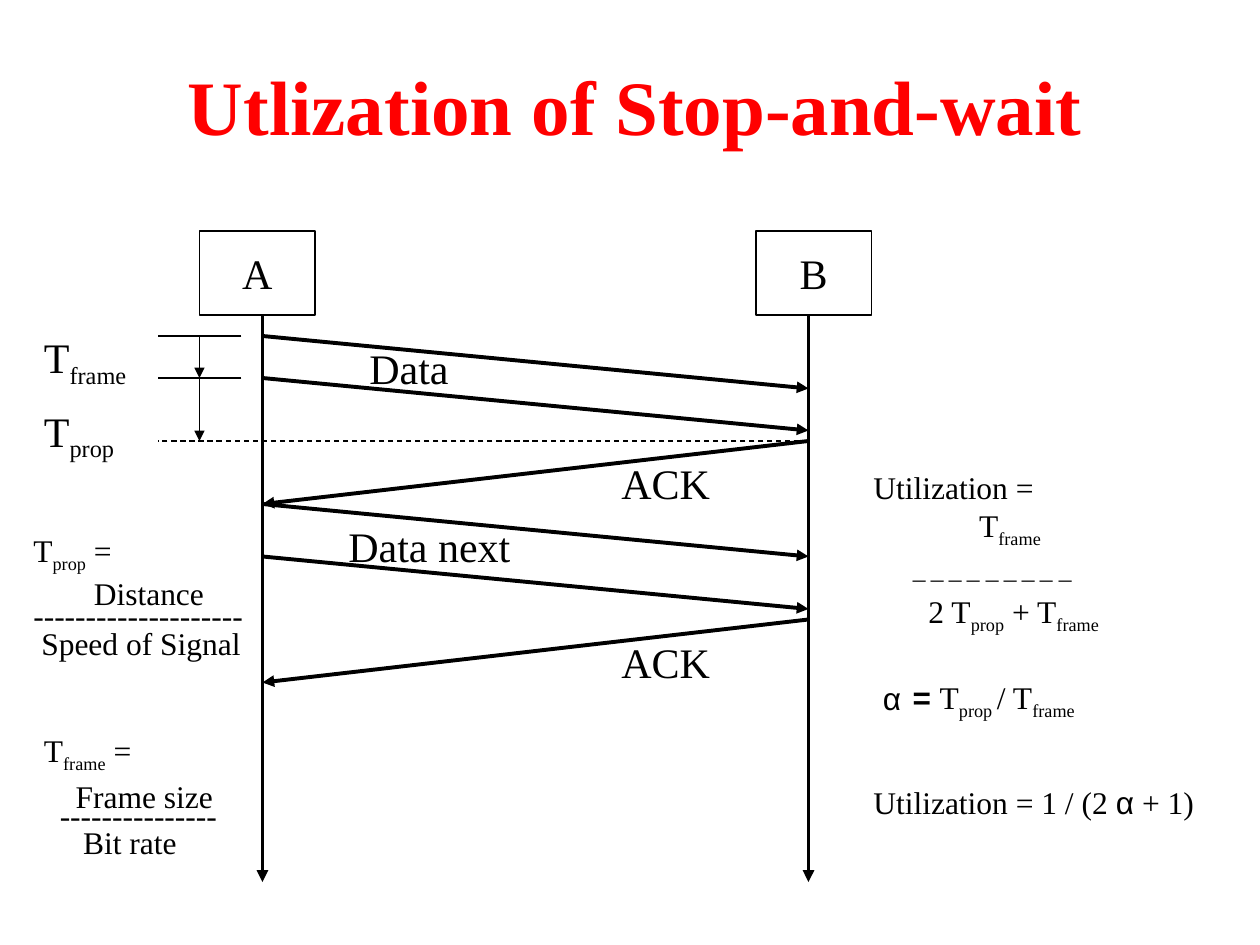
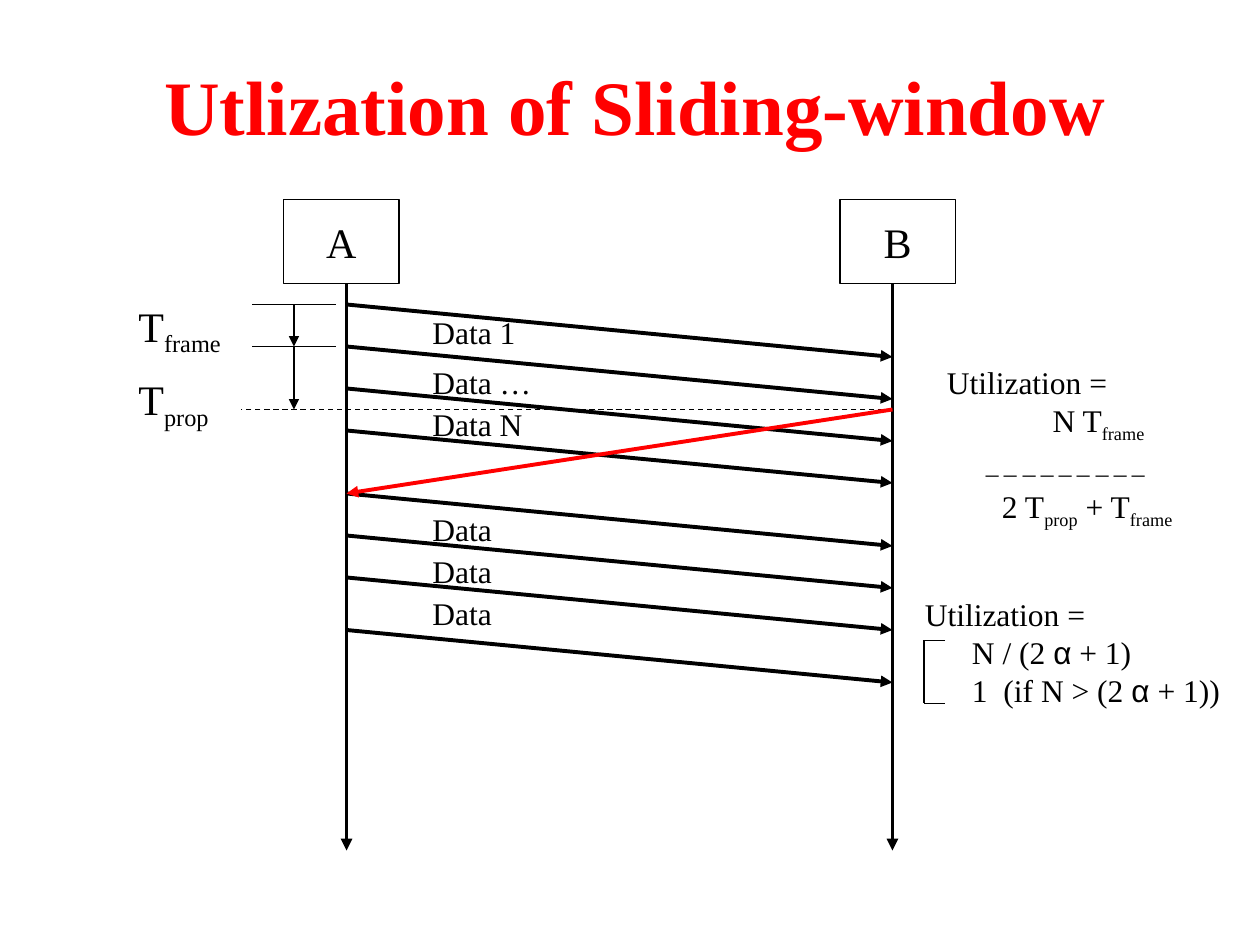
from itertools import pairwise

from lxml import etree
from pptx import Presentation
from pptx.dml.color import RGBColor
from pptx.enum.dml import MSO_LINE
from pptx.enum.shapes import MSO_CONNECTOR, MSO_SHAPE
from pptx.enum.text import MSO_ANCHOR, MSO_AUTO_SIZE, PP_ALIGN
from pptx.oxml.ns import qn
from pptx.util import Cm, Pt

STRAIGHT, RECTANGLE = MSO_CONNECTOR.STRAIGHT, MSO_SHAPE.RECTANGLE
DASH = MSO_LINE.DASH
MIDDLE = MSO_ANCHOR.MIDDLE
LEFT, CENTER = PP_ALIGN.LEFT, PP_ALIGN.CENTER
FIXED, GROW = MSO_AUTO_SIZE.NONE, MSO_AUTO_SIZE.SHAPE_TO_FIT_TEXT

BLACK, RED = "000000", "FF0000"
SERIF, SANS = "Times New Roman", "Arial"
THIN, THICK = 0.75, 2.25
TITLE_SIZE, LABEL_SIZE, FORMULA_SIZE = 44, 24, 18
TITLE_BOX = (6, 5, 109, 10)

# All positions are counted in grid steps, twelve to 2.54 cm.
STEP = 2.54 / 12
BOX_WIDTH, BOX_HEIGHT = 11, 8
LIFELINE_GAP, LIFELINE_LENGTH = 52, 54
DATA_DROP = 5

SUB = {"subscript": True}
ALPHA = ("α", {"font": SANS})
T_FRAME = ["T", ("frame", SUB)]
T_PROP = ["T", ("prop", SUB)]


def line_of(*runs, **layout):
    """One paragraph: its runs and its layout (indent in cm, before in pt, spacing)."""
    return {"runs": runs, **layout}


def utilization_fraction(*numerator):
    return [
        line_of("Utilization ="),
        line_of(*numerator, indent=2.13),
        line_of(("－－－－－－－－－", SUB), indent=0.74),
        line_of("2 ", *T_PROP, " + ", *T_FRAME, indent=1.11),
    ]


# Text boxes: paragraphs, (left, top, width, height), size
SLIDES = [
    {
        "title": "Utlization of Stop-and-wait",
        "box_left": 19, "box_top": 22, "timing_x": 19,
        "data_starts": [32, 36, 48, 53],
        "acks": [(42, 48, BLACK), (59, 65, BLACK)],
        "texts": [
            (["Data"], (34, 32, 12, 6), LABEL_SIZE),
            (["ACK"], (58, 43, 13, 6), LABEL_SIZE),
            (["Data next"], (32, 49, 20, 6), LABEL_SIZE),
            (["ACK"], (58, 60, 13, 6), LABEL_SIZE),
            (utilization_fraction(*T_FRAME), (82, 44, 28, 21.2), FORMULA_SIZE),
            ([
                line_of(*T_PROP, " ="),
                line_of("Distance", indent=1.22),
                line_of("--------------------", spacing=0.5),
                line_of("Speed of Signal", indent=0.16, spacing=0.8),
            ], (2, 50, 24, 13.6), FORMULA_SIZE),
            ([
                line_of(*T_FRAME, " =", before=11.2),
                line_of("Frame size", indent=0.64, before=11.2, spacing=0.5),
                line_of("---------------", indent=0.32, spacing=0.5),
                line_of("Bit rate", indent=0.79, before=4.5, spacing=0.5),
            ], (3, 69, 20, 13.3), FORMULA_SIZE),
            ([
                line_of(("= ", {"font": SANS, "bold": True}), *T_PROP, (" ", SUB),
                        "/ ", *T_FRAME, indent=0.6, bullet="α"),
            ], (82.9, 64, 24, 5.3), FORMULA_SIZE),
            ([line_of("Utilization = 1 / (2 ", ALPHA, " + 1)")],
             (82, 74, 36, 4.8), FORMULA_SIZE),
        ],
    },
    {
        "title": "Utlization of Sliding-window",
        "box_left": 27, "box_top": 19, "timing_x": 28,
        "data_starts": [29, 33, 37, 41, 47, 51, 55, 60],
        "acks": [(39, 47, RED)],
        "texts": [
            *[([text], (40, top, 14, 4.8), FORMULA_SIZE)
              for text, top in [("Data 1", 29.2), ("Data …", 34), ("Data N", 38),
                                ("Data", 48), ("Data", 52), ("Data", 56)]],
            (utilization_fraction("N ", *T_FRAME), (89, 34, 28, 21.2), FORMULA_SIZE),
            ([
                line_of("Utilization ="),
                line_of("N / (2 ", ALPHA, " + 1)", indent=0.95),
                line_of("1  (if N > (2 ", ALPHA, " + 1))", indent=0.95),
            ], (86.9, 56.1, 33, 12), FORMULA_SIZE),
        ],
        "bracket": [(90, 61), (88, 61), (88, 67), (90, 67)],
    },
]


def grid(*steps):
    return [Cm(step * STEP) for step in steps]


def color_of(hex_string):
    return RGBColor.from_string(hex_string)


def add_run(paragraph, text, size, color, font=SERIF, bold=False, subscript=False):
    run = paragraph.add_run()
    run.text = text
    run.font.name, run.font.size, run.font.bold = font, Pt(size), bold
    run.font.color.rgb = color_of(color)
    if subscript:
        run._r.get_or_add_rPr().set("baseline", "-25000")


def indent_paragraph(paragraph, indent, bullet):
    properties = paragraph._p.get_or_add_pPr()
    properties.set("marL", str(Cm(indent)))
    properties.set("indent", str(-Cm(indent) if bullet else 0))
    if bullet:
        etree.SubElement(properties, qn("a:buFont")).set("typeface", SANS)
        etree.SubElement(properties, qn("a:buChar")).set("char", bullet)


def write_text(frame, paragraphs, size=LABEL_SIZE, color=BLACK, bold=False,
               align=LEFT, wrap=True, auto_size=GROW):
    """Fill a text frame; a paragraph is a string or a result of line_of."""
    frame.word_wrap, frame.auto_size = wrap, auto_size
    for index, content in enumerate(paragraphs):
        layout = line_of(content) if isinstance(content, str) else content
        paragraph = frame.add_paragraph() if index else frame.paragraphs[0]
        paragraph.alignment = align
        paragraph.space_before = Pt(layout.get("before", 0))
        paragraph.line_spacing = layout.get("spacing", 1.0)
        indent_paragraph(paragraph, layout.get("indent", 0), layout.get("bullet"))
        for run in layout["runs"]:
            text, style = (run, {}) if isinstance(run, str) else run
            add_run(paragraph, text, size, color, **{"bold": bold, **style})


def add_text(slide, paragraphs, place, **text_format):
    write_text(slide.shapes.add_textbox(*grid(*place)).text_frame, paragraphs, **text_format)


def add_line(slide, start, end, width=THIN, color=BLACK, arrow=False, dashed=False):
    connector = slide.shapes.add_connector(STRAIGHT, *grid(*start, *end))
    connector.line.color.rgb = color_of(color)
    connector.line.width = Pt(width)
    if dashed:
        connector.line.dash_style = DASH
    if arrow:
        outline = connector.line._get_or_add_ln()
        etree.SubElement(outline, qn("a:tailEnd")).set("type", "triangle")
    etree.SubElement(connector._element.spPr, qn("a:effectLst"))


def add_host(slide, name, left, top):
    host = slide.shapes.add_shape(RECTANGLE, *grid(left, top, BOX_WIDTH, BOX_HEIGHT))
    host.shadow.inherit = False
    host.fill.background()
    host.line.color.rgb = color_of(BLACK)
    host.line.width = Pt(THIN)
    host.text_frame.vertical_anchor = MIDDLE
    write_text(host.text_frame, [name], align=CENTER, wrap=False, auto_size=FIXED)


def add_title(slide, text):
    title = slide.shapes.title
    title.left, title.top, title.width, title.height = grid(*TITLE_BOX)
    title.text_frame.vertical_anchor = MIDDLE
    write_text(title.text_frame, [text], size=TITLE_SIZE, color=RED, bold=True,
               align=CENTER, auto_size=FIXED)


def add_timing(slide, x, first_sent, dash_start, dash_end):
    """Mark the frame time and the propagation time left of host A."""
    frame_sent, arrived = first_sent + 4, first_sent + 10
    for y in (first_sent, frame_sent):
        add_line(slide, (x + 4, y), (x - 4, y))
    for start, end in pairwise([first_sent, frame_sent, arrived]):
        add_line(slide, (x, start), (x, end), arrow=True)
    add_line(slide, (dash_start, arrived), (dash_end, arrived), dashed=True)
    for label, top in ((T_FRAME, first_sent - 1), (T_PROP, first_sent + 6)):
        add_text(slide, [line_of(*label)], (x - 16, top, 11.2, 6.7))


def add_sequence_diagram(slide, content):
    left, top = content["box_left"], content["box_top"]
    line_a = left + 6
    line_b = line_a + LIFELINE_GAP
    bottom = top + BOX_HEIGHT
    add_timing(slide, content["timing_x"], top + 10, line_b, line_a - 10)
    for x in (line_a, line_b):
        add_line(slide, (x, bottom), (x, bottom + LIFELINE_LENGTH), THICK, arrow=True)
    add_host(slide, "A", left, top)
    add_host(slide, "B", left + LIFELINE_GAP + 1, top)
    for sent in content["data_starts"]:
        add_line(slide, (line_a, sent), (line_b, sent + DATA_DROP), THICK, arrow=True)
    for sent, received, color in content["acks"]:
        add_line(slide, (line_b, sent), (line_a, received), THICK, color, arrow=True)


def main():
    presentation = Presentation()
    presentation.slide_width, presentation.slide_height = Cm(25.4), Cm(19.05)
    title_only = presentation.slide_layouts[5]
    for content in SLIDES:
        slide = presentation.slides.add_slide(title_only)
        add_title(slide, content["title"])
        add_sequence_diagram(slide, content)
        for paragraphs, place, size in content["texts"]:
            add_text(slide, paragraphs, place, size=size)
        for start, end in pairwise(content.get("bracket", [])):
            add_line(slide, start, end)
    presentation.save("out.pptx")


if __name__ == "__main__":
    main()
